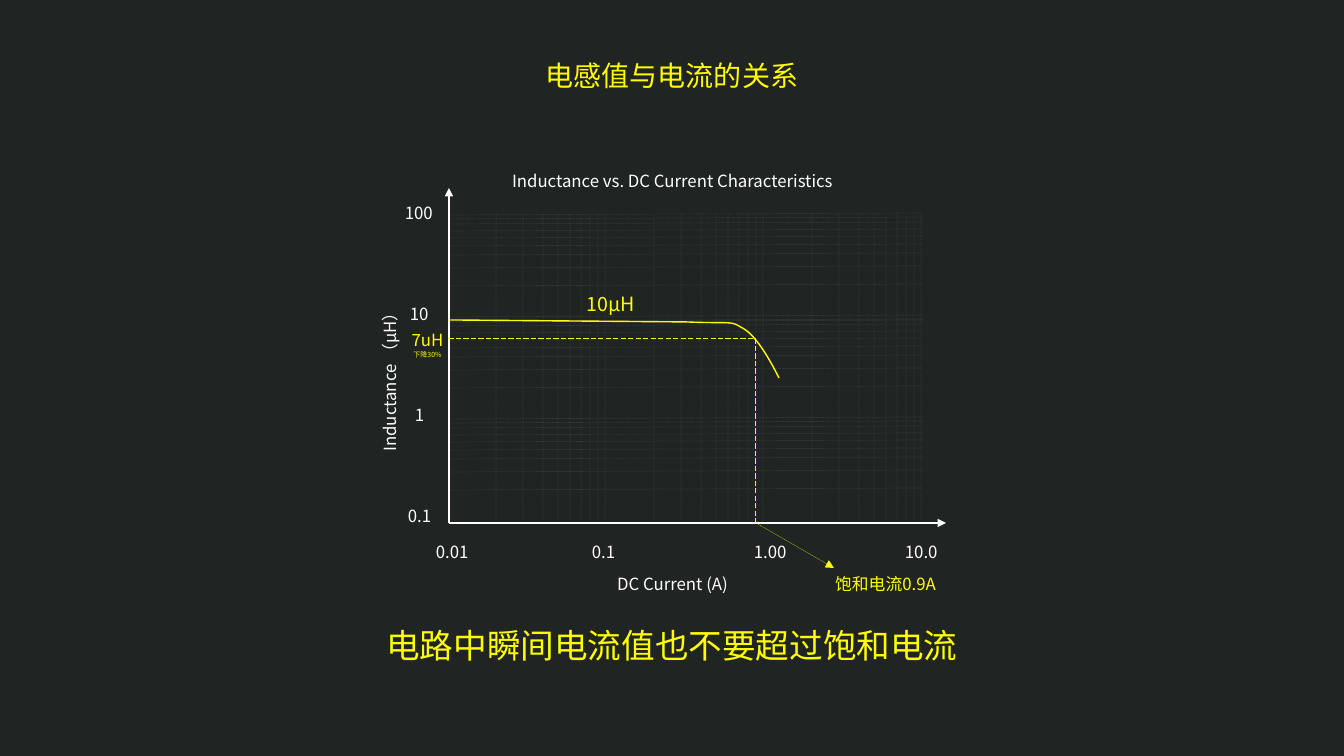
from math import log10

from lxml.etree import SubElement
from pptx import Presentation
from pptx.dml.color import RGBColor
from pptx.enum.dml import MSO_LINE
from pptx.enum.shapes import MSO_CONNECTOR
from pptx.enum.text import MSO_AUTO_SIZE, PP_ALIGN
from pptx.oxml.ns import qn
from pptx.util import Pt

SLIDE_WIDTH, SLIDE_HEIGHT = 1344, 756
SCALE = 12192000 / SLIDE_WIDTH
FONT = "Noto Sans CJK SC"
BACKGROUND, WHITE, YELLOW = "202524", "FFFFFF", "FFFF00"
PLOT = (449, 214, 474, 309)


def px(length):
    return round(length * SCALE)


def color(hex_string):
    return RGBColor.from_string(hex_string)


def add_text(shapes, text, box, size=12, fill=WHITE, align=PP_ALIGN.CENTER,
             wrap=True, rotation=0, small_size=5):
    shape = shapes.add_textbox(*map(px, box))
    shape.rotation = rotation
    frame = shape.text_frame
    frame.word_wrap = wrap
    frame.auto_size = MSO_AUTO_SIZE.SHAPE_TO_FIT_TEXT
    for index, line in enumerate(text.split("\n")):
        paragraph = frame.add_paragraph() if index else frame.paragraphs[0]
        paragraph.alignment = align
        run = paragraph.add_run()
        run.text = line
        run.font.size = Pt(small_size if index else size)
        run.font.name = FONT
        run.font.color.rgb = color(fill)
        properties = run.font._element
        SubElement(properties, qn("a:ea")).set("typeface", FONT)


def add_line(shapes, start, end, fill=WHITE, width=0, dash=None, opacity=100,
             arrow=False):
    connector = shapes.add_connector(MSO_CONNECTOR.STRAIGHT,
                                     *map(px, start + end))
    connector.line.color.rgb = color(fill)
    connector.line.width = Pt(width)
    if dash:
        connector.line.dash_style = dash
    properties = connector._element.spPr
    outline = properties.find(qn("a:ln"))
    outline.set("w", str(Pt(width)))
    if opacity < 100:
        alpha = SubElement(outline.find(".//" + qn("a:srgbClr")), qn("a:alpha"))
        alpha.set("val", str(opacity * 1000))
    if arrow:
        SubElement(outline, qn("a:tailEnd")).set("type", "triangle")
    SubElement(properties, qn("a:effectLst"))


def bezier(points, steps=16):
    for step in range(1, steps + 1):
        t = step / steps
        weights = ((1 - t) ** 3, 3 * t * (1 - t) ** 2, 3 * t * t * (1 - t), t ** 3)
        yield tuple(px(sum(weight * point[axis]
                           for weight, point in zip(weights, points)))
                    for axis in (0, 1))


def draw_curve(shapes, box):
    left, top = box[:2]
    start, shoulder, bend, end = [(left + x, top + y) for x, y in
                                  ((0, 106), (237, 108), (295, 115), (330, 164))]
    first = (shoulder, (left + 287, top + 110), (left + 280, top + 106), bend)
    second = (bend, (left + 311, top + 124), end, end)
    builder = shapes.build_freeform(*map(px, start), scale=1.0)
    points = [tuple(map(px, shoulder)), *bezier(first), *bezier(second)]
    builder.add_line_segments(points, close=False)
    curve = builder.convert_to_shape()
    curve.shadow.inherit = False
    curve.fill.background()
    curve.line.color.rgb = color(YELLOW)
    curve.line.width = Pt(1)


def draw_axes(shapes, box):
    left, top, width, height = box
    origin = (left, top + height)
    horizontal = shapes.add_group_shape().shapes
    add_line(horizontal, origin, (left + width + 23, top + height), width=1.5,
             arrow=True)
    for text, center, label_width in (("0.01", 4, 54), ("0.1", 155, 44),
                                      ("1.00", 322, 54), ("10.0", 473, 54)):
        add_text(horizontal, text,
                 (left + center - label_width / 2, top + height + 14, label_width, 30),
                 align=PP_ALIGN.LEFT, wrap=False)
    vertical = shapes.add_group_shape().shapes
    add_line(vertical, origin, (left, top - 26), width=1.5, arrow=True)
    for index, (text, label_width) in enumerate((("0.1", 44), ("1", 30),
                                                 ("10", 40), ("100", 50))):
        add_text(vertical, text,
                 (left - 29 - label_width / 2, top + 287 - 101 * index, label_width, 30),
                 align=PP_ALIGN.LEFT, wrap=False)


def draw_grid(shapes, box):
    left, top, width, height = box
    grid = shapes.add_group_shape().shapes
    style = {"width": 0.5, "dash": MSO_LINE.ROUND_DOT, "opacity": 10}
    columns = [left + 158 * decade + round(156 * log10(digit))
               for decade in range(3) for digit in range(2, 11)]
    rows = [top + 276 - 102 * decade - step
            for decade in range(3) for step in (0, 18, 31, 40, 48, 55, 62, 67, 71)]
    for x in columns:
        add_line(grid, (x, top + height), (x, top), **style)
    for y in rows + [top + 108]:
        add_line(grid, (left, y), (left + width, y - 2), **style)


def draw_titles(shapes, box):
    left, top, width, height = box
    add_text(shapes, "Inductance vs. DC Current Characteristics",
             (left + 43, top - 48, 361, 30))
    add_text(shapes, "Inductance （μH）", (left - 166, top + 149, 213, 30),
             rotation=270)
    add_text(shapes, "DC Current (A)", (left + 43, top + height + 46, 361, 30))


def draw_saturation(shapes, box):
    left, top, width, height = box
    x, y, bottom = left + 307, top + 125, top + height
    add_text(shapes, "10μH", (left + 101, top + 73, 121, 34), size=14, fill=YELLOW)
    drop = shapes.add_group_shape().shapes
    add_line(drop, (left, y), (x, y), YELLOW, dash=MSO_LINE.DASH)
    add_text(drop, "7uH\n下降30%", (left - 82, top + 111, 121, 39), fill=YELLOW)
    add_line(shapes, (x, y), (x, bottom), YELLOW, dash=MSO_LINE.DASH)
    add_line(shapes, (x, bottom), (x + 78, bottom + 45), YELLOW, arrow=True)
    add_text(shapes, "饱和电流0.9A", (left + 360, bottom + 46, 153, 30), fill=YELLOW)


def main():
    presentation = Presentation()
    presentation.slide_width = px(SLIDE_WIDTH)
    presentation.slide_height = px(SLIDE_HEIGHT)
    slide = presentation.slides.add_slide(presentation.slide_layouts[6])
    slide.background.fill.solid()
    slide.background.fill.fore_color.rgb = color(BACKGROUND)
    add_text(slide.shapes, "电感值与电流的关系", (479, 54, 386, 44),
             size=20, fill=YELLOW)
    for draw in (draw_curve, draw_axes, draw_grid, draw_titles, draw_saturation):
        draw(slide.shapes, PLOT)
    add_text(slide.shapes, "电路中瞬间电流值也不要超过饱和电流",
             (355, 620, 634, 50), size=24, fill=YELLOW)
    presentation.save("out.pptx")


if __name__ == "__main__":
    main()
